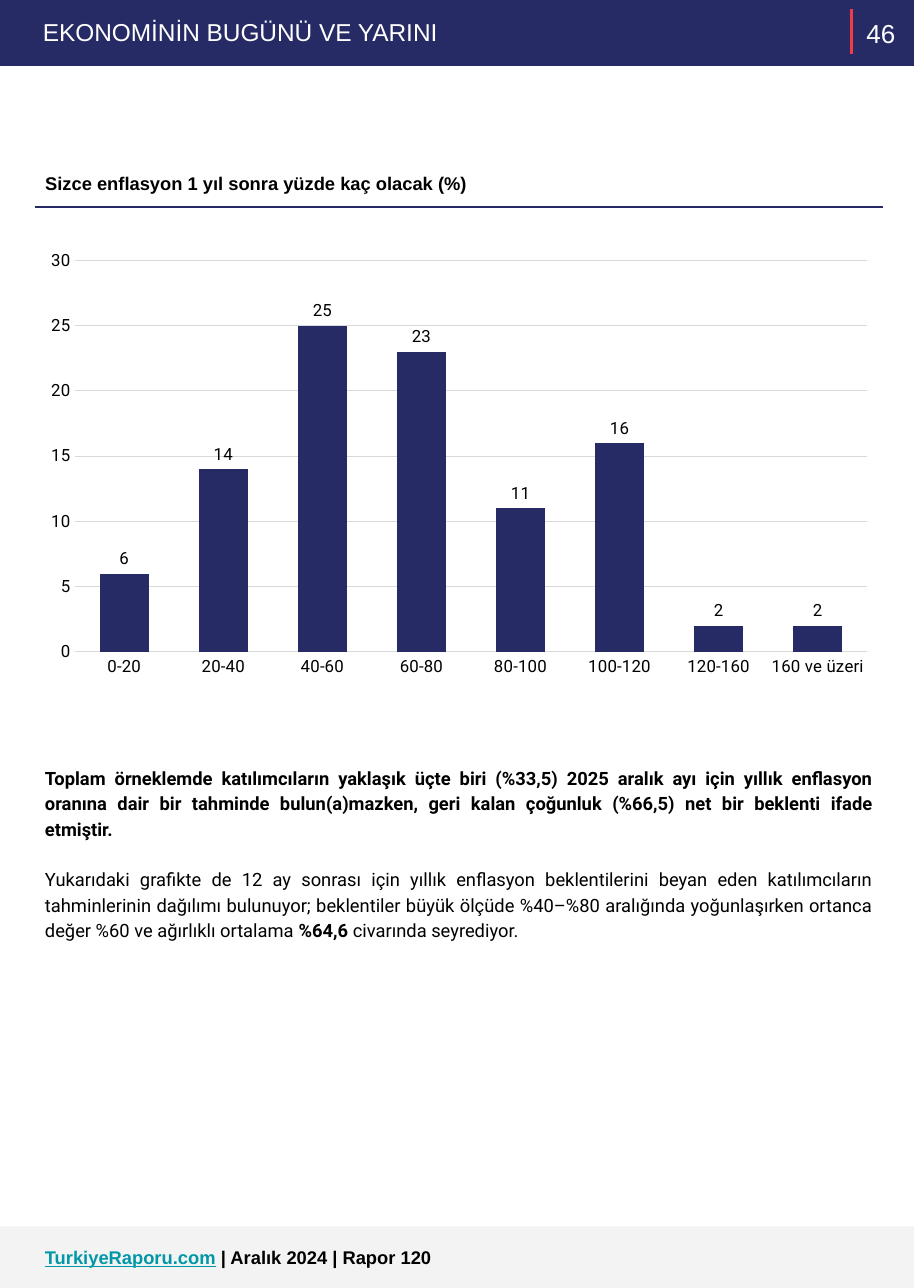
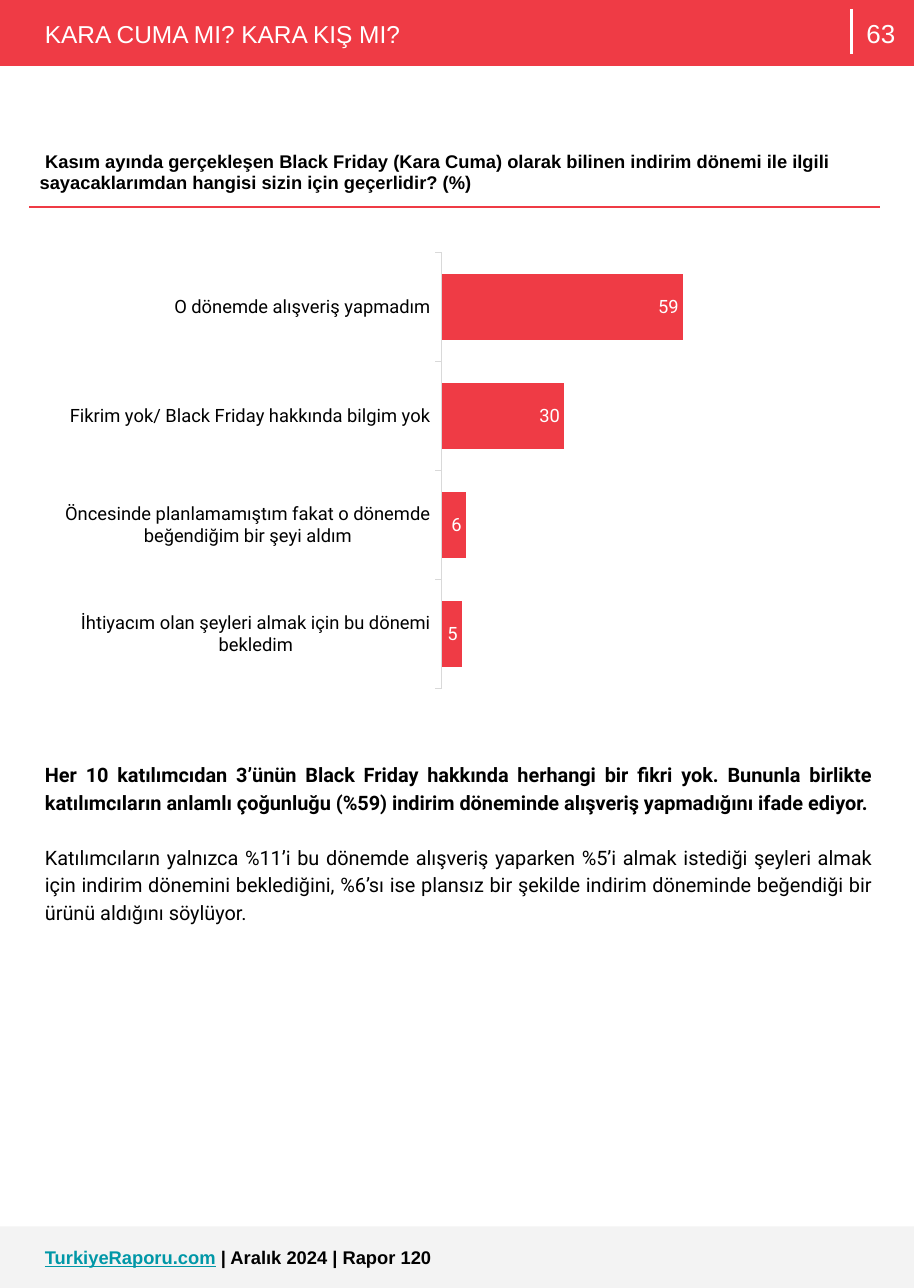
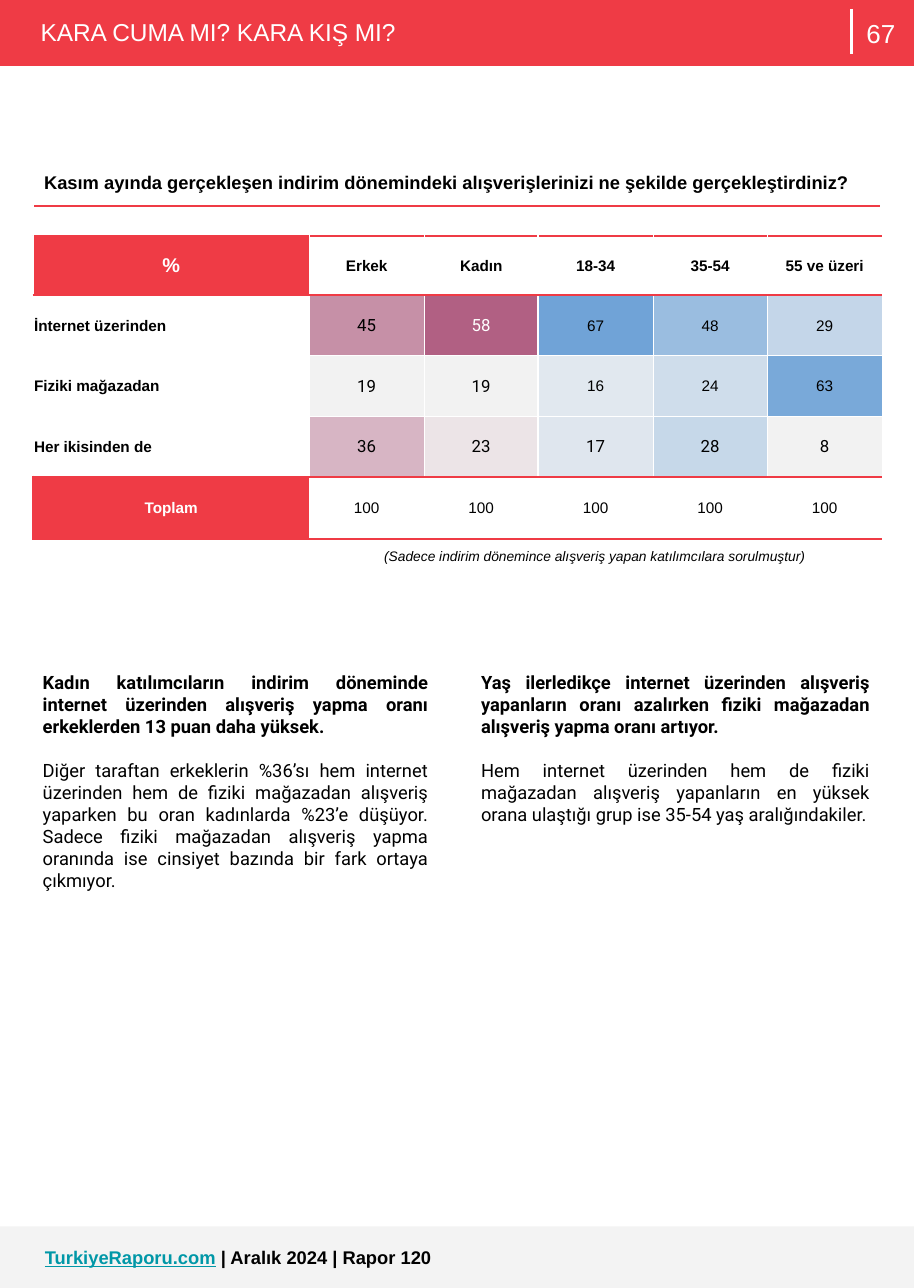
import pptx
import pptx.chart.data
import pptx.dml.color
import pptx.enum.chart
import pptx.enum.shapes
import pptx.enum.text
import pptx.oxml
import pptx.oxml.ns
import pptx.util

PX = 9144  # EMU in one px, 100 px to the inch
PAGE_W, PAGE_H = 830, 1170
BAND_H = 60
FOOTER_TOP = 1114

COLORS = {
    "navy": "262B65",
    "red": "EF3B45",
    "teal": "0097A7",
    "white": "FFFFFF",
    "black": "000000",
    "footer": "F3F3F3",
    "axis": "D9D9D9",
}
ALIGN = pptx.enum.text.PP_ALIGN
ANCHOR = pptx.enum.text.MSO_ANCHOR
CHART = pptx.enum.chart
Pt = pptx.util.Pt


def px(*lengths):
    return [length * PX for length in lengths]


def rgb(color):
    """Take a name from COLORS or a hex string."""
    return pptx.dml.color.RGBColor.from_string(COLORS.get(color, color))


def style(font, size, name="Arial", color="black", bold=False, italic=False):
    font.size, font.name = Pt(size), name
    font.bold, font.italic = bold, italic
    if color:
        font.color.rgb = rgb(color)


def add_band(slide, top, height, color):
    band = slide.shapes.add_shape(
        pptx.enum.shapes.MSO_SHAPE.RECTANGLE, *px(0, top, PAGE_W, height))
    band.shadow.inherit = False
    band.fill.solid()
    band.fill.fore_color.rgb = rgb(color)
    band.line.fill.background()


def add_text_box(slide, box, inset_y=10):
    frame = slide.shapes.add_textbox(*px(*box)).text_frame
    frame.word_wrap = True
    frame.margin_left = frame.margin_right = 10 * PX
    frame.margin_top = frame.margin_bottom = inset_y * PX
    return frame


def add_line_of_text(slide, box, text, size, **look):
    frame = add_text_box(slide, box)
    frame.text = text
    style(frame.paragraphs[0].font, size, **look)
    return frame


def add_header(slide, title, title_at, page, band, divider):
    add_band(slide, 0, BAND_H, band)
    rule = slide.shapes.add_connector(
        pptx.enum.shapes.MSO_CONNECTOR.STRAIGHT, *px(773, 8, 773, 49))
    rule.line.color.rgb = rgb(divider)
    rule.line.width = Pt(2.25)
    rule._element.spPr.append(pptx.oxml.parse_xml(
        "<a:effectLst %s/>" % pptx.oxml.ns.nsdecls("a")))
    add_line_of_text(slide, (*title_at, 645, 47), title, 16, color="white")
    number = add_line_of_text(slide, (773, 0, 54, BAND_H), page, 17, color="white")
    number.vertical_anchor = ANCHOR.MIDDLE
    number.paragraphs[0].alignment = ALIGN.CENTER


def add_footer(slide):
    add_band(slide, FOOTER_TOP, PAGE_H - FOOTER_TOP, "footer")
    paragraph = add_text_box(slide, (31, 1122, 696, 40)).paragraphs[0]
    style(paragraph.font, 12, color=None, bold=True)
    for text, color, underline in (("TurkiyeRaporu.com", "teal", True),
                                   (" | Aralık 2024 | Rapor 120", "black", False)):
        run = paragraph.add_run()
        run.text = text
        run.font.color.rgb = rgb(color)
        run.font.underline = underline


def add_commentary(slide, box, finding, detail, size=12, spacing=1.0, gap=14,
                   inset_y=10):
    """Write a bold finding, then a detail given as (text, bold) runs."""
    frame = add_text_box(slide, box, inset_y)
    for index, runs in enumerate(([(finding, True)], detail)):
        paragraph = frame.add_paragraph() if index else frame.paragraphs[0]
        paragraph.alignment = ALIGN.JUSTIFY
        paragraph.line_spacing = spacing
        if index:
            paragraph.space_before = Pt(gap)
        style(paragraph.font, size, "Roboto", bold=runs[0][1])
        for text, bold in runs:
            run = paragraph.add_run()
            run.text = text
            if bold != runs[0][1]:
                run.font.bold = bold


def set_borders(cell, **sides):
    """Give sides L, R, T, B as (color, points)."""
    for position, side in enumerate("LRTB"):
        color, points = sides[side]
        cell._tc.get_or_add_tcPr().insert(position, pptx.oxml.parse_xml(
            '<a:ln%s %s w="%d"><a:solidFill><a:srgbClr val="%s"/></a:solidFill></a:ln%s>'
            % (side, pptx.oxml.ns.nsdecls("a"), Pt(points), COLORS[color], side)))


def add_plain_table(slide, left, top, widths, heights):
    frame = slide.shapes.add_table(
        len(heights), len(widths), *px(left, top, sum(widths), sum(heights)))
    table = frame.table
    table.first_row = table.horz_banding = False
    for column, width in zip(table.columns, widths):
        column.width = width * PX
    for row, height in zip(table.rows, heights):
        row.height = height * PX
    return table


def fill_cell(cell, text, fill, insets):
    cell.text = text
    cell.fill.solid()
    cell.fill.fore_color.rgb = rgb(fill)
    (cell.margin_left, cell.margin_top,
     cell.margin_right, cell.margin_bottom) = px(*insets)
    return cell.text_frame.paragraphs[0]


def add_question(slide, box, text, accent, spacing=1.0, indent=0):
    left, top, width, height = box
    cell = add_plain_table(slide, left, top, [width], [height]).cell(0, 0)
    paragraph = fill_cell(cell, text, "white", (10, 10, 10, 10))
    paragraph.line_spacing = spacing
    if indent:
        paragraph._p.get_or_add_pPr().set("indent", str(indent * PX))
    style(paragraph.font, 12, bold=True)
    blank = ("white", 0.75)
    set_borders(cell, L=blank, R=blank, T=blank, B=(accent, 1))


def add_bar_chart(slide, box, kind, data, color, gap, label_size, label_color,
                  label_position):
    chart_data = pptx.chart.data.CategoryChartData(number_format="0")
    chart_data.categories = list(data)
    chart_data.add_series("Series 1", list(data.values()))
    chart = slide.shapes.add_chart(kind, *px(*box), chart_data).chart
    chart.has_legend = chart.has_title = False
    style(chart.font, 10, "Roboto")

    plot = chart.plots[0]
    plot.gap_width = gap
    plot.vary_by_categories = False
    bars = plot.series[0].format.fill
    bars.solid()
    bars.fore_color.rgb = rgb(color)
    plot.has_data_labels = True
    labels = plot.data_labels
    labels.show_value = True
    labels.position = label_position
    labels.number_format, labels.number_format_is_linked = "0", False
    style(labels.font, label_size, "Roboto", label_color)

    categories = chart.category_axis
    categories.has_major_gridlines = False
    categories.format.line.color.rgb = rgb("axis")
    categories.format.line.width = Pt(0.75)
    style(categories.tick_labels.font, label_size, "Roboto")
    chart.value_axis.minimum_scale = 0
    return chart


def show_value_grid(chart, maximum, step):
    chart.plots[0].overlap = -27
    chart.category_axis.major_tick_mark = CHART.XL_TICK_MARK.NONE
    values = chart.value_axis
    values.maximum_scale, values.major_unit = maximum, step
    values.major_tick_mark = CHART.XL_TICK_MARK.NONE
    values.format.line.fill.background()
    values.has_major_gridlines = True
    values.major_gridlines.format.line.color.rgb = rgb("axis")
    values.major_gridlines.format.line.width = Pt(0.75)
    values.tick_labels.number_format = "0"
    values.tick_labels.number_format_is_linked = False
    style(values.tick_labels.font, 11, "Roboto")


def hide_value_axis(chart, maximum):
    values = chart.value_axis
    values.maximum_scale = maximum
    values.has_major_gridlines = False
    values.visible = False
    chart.category_axis.reverse_order = True
    chart.category_axis.major_tick_mark = CHART.XL_TICK_MARK.OUTSIDE


def place_plot(chart, **fractions):
    """Fix the inner plot area with x, y, w and h as parts of the chart."""
    plot_area = chart._chartSpace.chart.plotArea
    for old in plot_area.findall(pptx.oxml.ns.qn("c:layout")):
        plot_area.remove(old)
    sizes = "".join('<c:%s val="%s"/>' % item for item in fractions.items())
    plot_area.insert(0, pptx.oxml.parse_xml(
        '<c:layout %s><c:manualLayout><c:layoutTarget val="inner"/>'
        '<c:xMode val="edge"/><c:yMode val="edge"/>%s</c:manualLayout></c:layout>'
        % (pptx.oxml.ns.nsdecls("c"), sizes)))


def add_heat_table(slide, left, top, rows, heat):
    """Draw a header row, shaded rows and a total row."""
    table = add_plain_table(slide, left, top, [251] + [104] * 5, [54, 55, 55, 55, 57])
    last = len(rows) - 1
    red_edges = (0, 1, last, last + 1)

    def across(edge):
        return ("red", 1.5) if edge in red_edges else ("white", 0.5)

    def down(edge):
        return ("white", 1.5 if edge == 3 else 0.5)

    for r, row in enumerate(rows):
        for c, text in enumerate(row):
            shaded = 0 < r < last and c > 0
            corner = c == 0 and r in (0, last)
            fill = heat[r - 1][c - 1] if shaded else "red" if corner else "white"
            cell = table.cell(r, c)
            cell.vertical_anchor = ANCHOR.MIDDLE
            paragraph = fill_cell(cell, text, fill, (1, 1, 1, 0))
            label = c == 0 and not corner
            paragraph.alignment = ALIGN.LEFT if label else ALIGN.CENTER
            color = "white" if corner or text == "58" else "black"
            if shaded and (c < 3 or r == 3):
                style(paragraph.font, 11, "Roboto", color)
            else:
                style(paragraph.font, 13 if text == "%" else 10, color=color,
                      bold=r == 0 or c == 0)
            side = ("red", 1.5) if corner and r == last else down(c)
            set_borders(cell, L=side, R=down(c + 1), T=across(r), B=across(r + 1))


def build_inflation(slide):
    add_header(slide, "EKONOMİNİN BUGÜNÜ VE YARINI", (29, 6), "46", "navy", "red")
    chart = add_bar_chart(
        slide, (31, 219, 772, 404), CHART.XL_CHART_TYPE.COLUMN_CLUSTERED,
        {"0-20": 6, "20-40": 14, "40-60": 25, "60-80": 23, "80-100": 11,
         "100-120": 16, "120-160": 2, "160 ve üzeri": 2},
        "navy", 100, 11, "black", CHART.XL_LABEL_POSITION.OUTSIDE_END)
    show_value_grid(chart, 30, 5)
    add_question(slide, (31, 145, 771, 41),
                 "Sizce enflasyon 1 yıl sonra yüzde kaç olacak (%)", "navy", 1.15)
    add_commentary(
        slide, (31, 684, 772, 160),
        "Toplam örneklemde katılımcıların yaklaşık üçte biri (%33,5) 2025 aralık ayı "
        "için yıllık enflasyon oranına dair bir tahminde bulun(a)mazken, geri kalan "
        "çoğunluk (%66,5) net bir beklenti ifade etmiştir.",
        [("Yukarıdaki grafikte de 12 ay sonrası için yıllık enflasyon beklentilerini "
          "beyan eden katılımcıların tahminlerinin dağılımı bulunuyor; beklentiler "
          "büyük ölçüde %40–%80 aralığında yoğunlaşırken ortanca değer %60 ve "
          "ağırlıklı ortalama ", False),
         ("%64,6 ", True), ("civarında seyrediyor.", False)],
        spacing=1.15, gap=16.5)


def build_awareness(slide):
    add_header(slide, "KARA CUMA MI? KARA KIŞ MI?", (31, 7), "63", "red", "white")
    chart = add_bar_chart(
        slide, (29, 200, 775, 426), CHART.XL_CHART_TYPE.BAR_CLUSTERED,
        {"O dönemde alışveriş yapmadım": 59,
         "Fikrim yok/ Black Friday hakkında bilgim yok": 30,
         "Öncesinde planlamamıştım fakat o dönemde beğendiğim bir şeyi aldım": 6,
         "İhtiyacım olan şeyleri almak için bu dönemi bekledim": 5},
        "red", 65, 12, "white", CHART.XL_LABEL_POSITION.INSIDE_END)
    hide_value_axis(chart, 100)
    place_plot(chart, x=0.48, y=0.07, w=0.48, h=0.93)
    add_question(
        slide, (26, 128, 774, 60),
        "Kasım ayında gerçekleşen Black Friday (Kara Cuma) olarak bilinen indirim "
        "dönemi ile ilgili sayacaklarımdan hangisi sizin için geçerlidir? (%)",
        "red", indent=5)
    add_commentary(
        slide, (31, 680, 770, 380),
        "Her 10 katılımcıdan 3’ünün Black Friday hakkında herhangi bir fikri yok. "
        "Bununla birlikte katılımcıların anlamlı çoğunluğu (%59) indirim döneminde "
        "alışveriş yapmadığını ifade ediyor.",
        [("Katılımcıların yalnızca %11’i bu dönemde alışveriş yaparken %5’i almak "
          "istediği şeyleri almak için indirim dönemini beklediğini, %6’sı ise plansız "
          "bir şekilde indirim döneminde beğendiği bir ürünü aldığını söylüyor.", False)],
        size=13, spacing=1.15, gap=18)


def build_channels(slide):
    add_header(slide, "KARA CUMA MI? KARA KIŞ MI?", (27, 6), "67", "red", "white")
    add_question(
        slide, (30, 147, 770, 40),
        "Kasım ayında gerçekleşen indirim dönemindeki alışverişlerinizi ne şekilde "
        "gerçekleştirdiniz?", "red")
    add_heat_table(
        slide, 30, 214,
        [["%", "Erkek", "Kadın", "18-34", "35-54", "55 ve üzeri"],
         ["İnternet üzerinden", "45", "58", "67", "48", "29"],
         ["Fiziki mağazadan", "19", "19", "16", "24", "63"],
         ["Her ikisinden de", "36", "23", "17", "28", "8"],
         ["Toplam"] + ["100"] * 5],
        [["C690A7", "B16083", "70A3D7", "9ABDE0", "C4D6E9"],
         ["F2F2F2", "F2F2F2", "E1E8EF", "CFDDEB", "79A9D9"],
         ["D7B5C4", "ECE4E7", "DFE6EE", "C6D8E9", "F2F2F2"]])
    add_line_of_text(
        slide, (339, 490, 461, 35),
        "(Sadece indirim dönemince alışveriş yapan katılımcılara sorulmuştur)",
        9, italic=True)
    add_commentary(
        slide, (29, 605, 370, 212),
        "Kadın katılımcıların indirim döneminde internet üzerinden alışveriş yapma "
        "oranı erkeklerden 13 puan daha yüksek.",
        [("Diğer taraftan erkeklerin %36’sı hem internet üzerinden hem de fiziki "
          "mağazadan alışveriş yaparken bu oran kadınlarda %23’e düşüyor. Sadece "
          "fiziki mağazadan alışveriş yapma oranında ise cinsiyet bazında bir fark "
          "ortaya çıkmıyor.", False)], inset_y=5)
    add_commentary(
        slide, (427, 605, 373, 151),
        "Yaş ilerledikçe internet üzerinden alışveriş yapanların oranı azalırken "
        "fiziki mağazadan alışveriş yapma oranı artıyor.",
        [("Hem internet üzerinden hem de fiziki mağazadan alışveriş yapanların en "
          "yüksek orana ulaştığı grup ise 35-54 yaş aralığındakiler.", False)],
        inset_y=5)


def main():
    deck = pptx.Presentation()
    deck.slide_width, deck.slide_height = px(PAGE_W, PAGE_H)
    for build in (build_inflation, build_awareness, build_channels):
        slide = deck.slides.add_slide(deck.slide_layouts[6])
        build(slide)
        add_footer(slide)
    deck.save("out.pptx")


if __name__ == "__main__":
    main()
